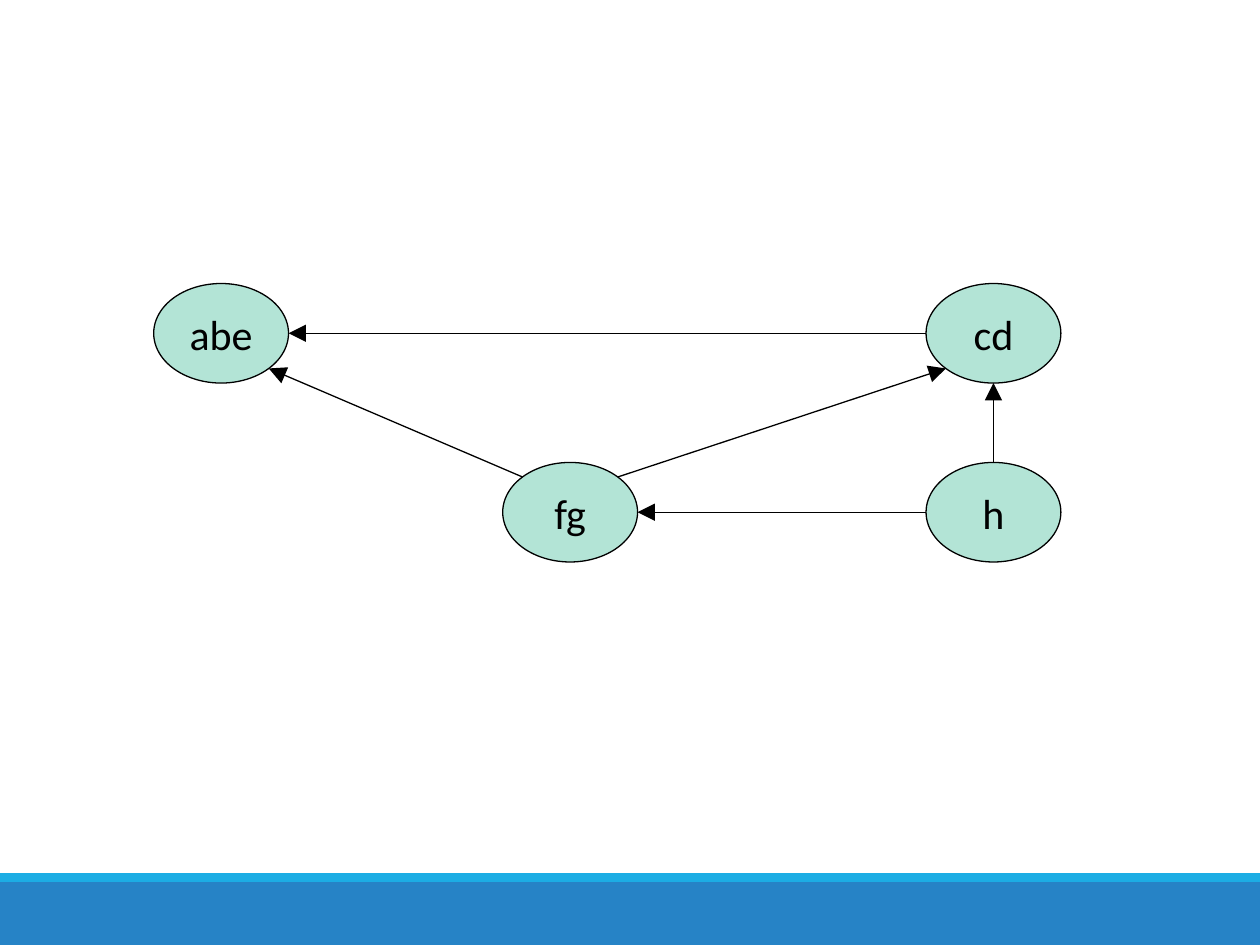
from dataclasses import dataclass
from math import sqrt

from lxml import etree
from pptx import Presentation
from pptx.dml.color import RGBColor
from pptx.enum import shapes as es, text as et
from pptx.oxml import ns
from pptx.util import Inches, Pt

WIDE, HIGH = 1.07, 0.79
BLACK, MINT = "000000", "B3E4D6"


@dataclass
class Node:
    name: str
    left: float
    top: float

    def rim(self, dx: int, dy: int) -> tuple[float, float]:
        """Point on the ellipse in direction (dx, dy), each -1, 0 or 1."""
        span = sqrt(abs(dx) + abs(dy))
        return (self.left + WIDE / 2 * (1 + dx / span),
                self.top + HIGH / 2 * (1 + dy / span))


@dataclass
class Edge:
    head: Node
    head_dir: tuple[int, int]
    tail: Node
    tail_dir: tuple[int, int]


def color(code: str) -> RGBColor:
    return RGBColor.from_string(code)


def draw_bar(slide, top: float, high: float, fill: str) -> None:
    bar = slide.shapes.add_shape(es.MSO_SHAPE.RECTANGLE, 0, Inches(top),
                                 Inches(10), Inches(high))
    bar.shadow.inherit = False
    bar.fill.solid()
    bar.fill.fore_color.rgb = color(fill)
    bar.line.fill.background()


def draw_node(slide, node: Node) -> None:
    oval = slide.shapes.add_shape(es.MSO_SHAPE.OVAL, Inches(node.left), Inches(node.top),
                                  Inches(WIDE), Inches(HIGH))
    oval.shadow.inherit = False
    oval.fill.solid()
    oval.fill.fore_color.rgb = color(MINT)
    oval.line.color.rgb = color(BLACK)
    oval.line.width = Pt(0.75)
    frame = oval.text_frame
    frame.vertical_anchor = et.MSO_ANCHOR.MIDDLE
    para = frame.paragraphs[0]
    para.alignment = et.PP_ALIGN.CENTER
    run = para.add_run()
    run.text = node.name
    run.font.size = Pt(24)
    run.font.name = "Calibri"
    run.font.color.rgb = color(BLACK)


def draw_edge(slide, edge: Edge) -> None:
    ends = edge.head.rim(*edge.head_dir) + edge.tail.rim(*edge.tail_dir)
    line = slide.shapes.add_connector(es.MSO_CONNECTOR.STRAIGHT, *map(Inches, ends))
    line.line.color.rgb = color(BLACK)
    line.line.width = Pt(0.75)
    etree.SubElement(line.line._get_or_add_ln(), ns.qn("a:headEnd"),
                     type="triangle", w="lg", len="lg")
    etree.SubElement(line._element.spPr, ns.qn("a:effectLst"))


def main() -> None:
    deck = Presentation()
    deck.slide_width, deck.slide_height = Inches(10), Inches(7.5)
    slide = deck.slides.add_slide(deck.slide_layouts[6])

    draw_bar(slide, 7, 0.5, "2683C6")
    draw_bar(slide, 6.93, 0.07, "1CADE4")

    upper, lower, right = 2.25, 3.67, 7.35
    abe = Node("abe", 1.22, upper)
    cd = Node("cd", right, upper)
    fg = Node("fg", 3.99, lower)
    h = Node("h", right, lower)
    for node in (abe, cd, fg, h):
        draw_node(slide, node)

    edges = [
        Edge(abe, (1, 0), cd, (-1, 0)),
        Edge(abe, (1, 1), fg, (-1, -1)),
        Edge(cd, (0, 1), h, (0, -1)),
        Edge(fg, (1, 0), h, (-1, 0)),
        Edge(cd, (-1, 1), fg, (1, -1)),
    ]
    for edge in edges:
        draw_edge(slide, edge)

    deck.save("out.pptx")


if __name__ == "__main__":
    main()
